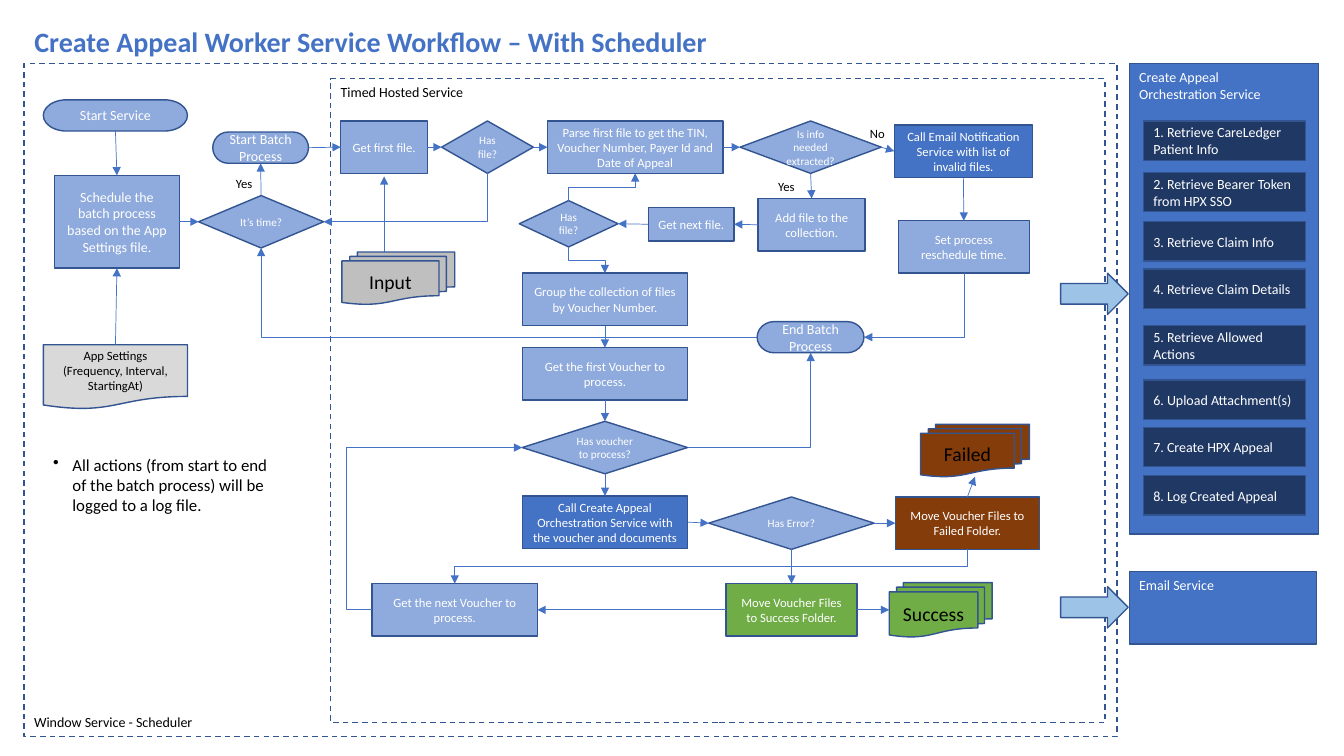
from dataclasses import dataclass

from lxml import etree
from pptx import Presentation
from pptx.dml.color import RGBColor
from pptx.enum.dml import MSO_LINE_DASH_STYLE as DASH
from pptx.enum.shapes import MSO_CONNECTOR as CXN, MSO_SHAPE as SHAPE
from pptx.enum.text import MSO_ANCHOR as ANCHOR, PP_ALIGN as ALIGN
from pptx.oxml.ns import qn
from pptx.util import Inches, Pt


@dataclass(frozen=True)
class Theme:
    font: str = "Calibri"
    accent: str = "4472C4"
    outline: str = "325491"
    step: str = "8FAADC"
    navy: str = "203864"
    arrow: str = "9DC3E6"
    failed: str = "843C0B"
    success: str = "70AD47"
    paper: str = "D9D9D9"
    stack: str = "BFBFBF"
    white: str = "FFFFFF"
    black: str = "000000"
    title: int = 20
    folder: int = 14
    note: int = 12
    body: int = 10
    small: int = 9
    tiny: int = 8


T = Theme()

# Kind of node: preset, fill, type size, text colour
KINDS = {
    "process": (SHAPE.RECTANGLE, T.step, T.small, T.white),
    "schedule": (SHAPE.RECTANGLE, T.step, T.body, T.white),
    "call": (SHAPE.RECTANGLE, T.accent, T.small, T.white),
    "to_failed": (SHAPE.RECTANGLE, T.failed, T.small, T.white),
    "to_success": (SHAPE.RECTANGLE, T.success, T.small, T.white),
    "decision": (SHAPE.FLOWCHART_DECISION, T.step, T.tiny, T.white),
    "terminator": (SHAPE.FLOWCHART_TERMINATOR, T.step, T.body, T.white),
    "document": (SHAPE.FLOWCHART_DOCUMENT, T.paper, T.small, T.black),
    "input": (SHAPE.FLOWCHART_MULTIDOCUMENT, T.stack, T.folder, T.black),
    "failed": (SHAPE.FLOWCHART_MULTIDOCUMENT, T.failed, T.folder, T.black),
    "success": (SHAPE.FLOWCHART_MULTIDOCUMENT, T.success, T.folder, T.black),
}

# Name: kind, (left, top, width, height), text
NODES = {
    "start": ("terminator", (0.43, 0.99, 1.43, 0.31), "Start Service"),
    "schedule": ("schedule", (0.54, 1.74, 1.24, 0.92),
                 "Schedule the batch process based on the App Settings file."),
    "settings": ("document", (0.43, 3.42, 1.43, 0.64),
                 "App Settings\n(Frequency, Interval, StartingAt)"),
    "time": ("decision", (1.97, 1.94, 1.24, 0.52), "It’s time?"),
    "batch": ("terminator", (2.11, 1.31, 0.95, 0.31), "Start Batch Process"),
    "first": ("process", (3.38, 1.2, 0.86, 0.52), "Get first file."),
    "any_file": ("decision", (4.38, 1.2, 0.91, 0.52), "Has file?"),
    "parse": ("process", (5.43, 1.2, 1.74, 0.52),
              "Parse first file to get the TIN, Voucher Number, Payer Id and Date of Appeal"),
    "info": ("decision", (7.34, 1.2, 1.4, 0.52), "Is info needed extracted?"),
    "notify": ("call", (8.87, 1.24, 1.37, 0.52),
               "Call Email Notification Service with list of invalid files."),
    "reschedule": ("process", (8.91, 2.19, 1.3, 0.52), "Set process reschedule time."),
    "add": ("process", (7.52, 1.97, 1.06, 0.52), "Add file to the collection."),
    "next": ("process", (6.43, 2.06, 0.85, 0.33), "Get next file."),
    "more": ("decision", (5.15, 1.99, 0.98, 0.46), "Has file?"),
    "group": ("process", (5.18, 2.71, 1.64, 0.52),
              "Group the collection of files by Voucher Number."),
    "voucher": ("process", (5.18, 3.45, 1.64, 0.52), "Get the first Voucher to process."),
    "any_voucher": ("decision", (5.18, 4.18, 1.64, 0.52), "Has voucher to process?"),
    "appeal": ("call", (5.18, 4.92, 1.64, 0.52),
               "Call Create Appeal Orchestration Service with the voucher and documents"),
    "error": ("decision", (7.03, 4.93, 1.64, 0.52), "Has Error?"),
    "move_failed": ("to_failed", (8.88, 4.93, 1.43, 0.52), "Move Voucher Files to Failed Folder."),
    "move_success": ("to_success", (7.2, 5.79, 1.3, 0.52), "Move Voucher Files to Success Folder."),
    "next_voucher": ("process", (3.69, 5.79, 1.64, 0.52), "Get the next Voucher to process."),
    "end": ("terminator", (7.51, 3.19, 1.06, 0.31), "End Batch Process"),
    "input": ("input", (3.39, 2.5, 1.12, 0.52), "Input"),
    "failed": ("failed", (9.13, 4.21, 1.08, 0.52), "Failed"),
    "success": ("success", (8.82, 5.78, 1.02, 0.54), "Success"),
}

# Connection sites in the order the presets number them
TOP, LEFT, BOTTOM, RIGHT = range(4)

STRAIGHT = [
    ("start", BOTTOM, "schedule", TOP), ("settings", TOP, "schedule", BOTTOM),
    ("schedule", RIGHT, "time", LEFT), ("time", TOP, "batch", BOTTOM),
    ("batch", RIGHT, "first", LEFT), ("first", RIGHT, "any_file", LEFT),
    ("any_file", RIGHT, "parse", LEFT), ("parse", RIGHT, "info", LEFT),
    ("info", RIGHT, "notify", LEFT), ("info", BOTTOM, "add", TOP),
    ("notify", BOTTOM, "reschedule", TOP), ("add", LEFT, "next", RIGHT),
    ("next", LEFT, "more", RIGHT), ("group", BOTTOM, "voucher", TOP),
    ("voucher", BOTTOM, "any_voucher", TOP), ("any_voucher", BOTTOM, "appeal", TOP),
    ("appeal", RIGHT, "error", LEFT), ("error", RIGHT, "move_failed", LEFT),
    ("error", BOTTOM, "move_success", TOP), ("move_success", LEFT, "next_voucher", RIGHT),
    ("move_success", RIGHT, "success", LEFT), ("move_failed", TOP, "failed", BOTTOM),
]

# Elbows: the last value places the middle leg, None means a single corner
ELBOWS = [
    ("any_file", BOTTOM, "time", RIGHT, None), ("reschedule", BOTTOM, "end", RIGHT, None),
    ("end", LEFT, "time", BOTTOM, None), ("any_voucher", RIGHT, "end", BOTTOM, None),
    ("more", TOP, "parse", BOTTOM, 0.5), ("more", BOTTOM, "group", TOP, 0.5),
    ("move_failed", BOTTOM, "next_voucher", TOP, 0.5),
    ("next_voucher", LEFT, "any_voucher", LEFT, -0.17),
]

STEPS = {
    1.2: "1. Retrieve CareLedger Patient Info",
    1.71: "2. Retrieve Bearer Token from HPX SSO",
    2.2: "3. Retrieve Claim Info",
    2.67: "4. Retrieve Claim Details",
    3.23: "5. Retrieve Allowed Actions",
    3.77: "6. Upload Attachment(s)",
    4.24: "7. Create HPX Appeal",
    4.72: "8. Log Created Appeal",
}


def rgb(value):
    return RGBColor.from_string(value)


def write(sp, text, size, color, align=ALIGN.LEFT, anchor=ANCHOR.TOP, wrap=True, bold=False):
    tf = sp.text_frame
    tf.text = text
    tf.word_wrap, tf.vertical_anchor = wrap, anchor
    for p in tf.paragraphs:
        p.alignment = align
        for r in p.runs:
            r.font.name, r.font.size, r.font.bold = T.font, Pt(size), bold
            r.font.color.rgb = rgb(color)


def add_box(slide, preset, at, fill=None, dash=None):
    sp = slide.shapes.add_shape(preset, *map(Inches, at))
    sp.shadow.inherit = False
    if fill:
        sp.fill.solid()
        sp.fill.fore_color.rgb = rgb(fill)
    else:
        sp.fill.background()
    sp.line.color.rgb, sp.line.width = rgb(T.outline), Pt(1)
    sp.line.dash_style = dash
    return sp


def add_label(slide, at, text, size, wrap=True):
    sp = slide.shapes.add_textbox(*map(Inches, at))
    write(sp, text, size, T.black, wrap=wrap)
    return sp


def add_node(slide, kind, at, text):
    preset, fill, size, color = KINDS[kind]
    sp = add_box(slide, preset, at, fill)
    write(sp, text, size, color, ALIGN.CENTER, ANCHOR.MIDDLE)
    return sp


def add_arrow(slide, kind, ends=(0, 0, 0, 0)):
    cxn = slide.shapes.add_connector(kind, *map(Inches, ends))
    cxn.line.color.rgb, cxn.line.width = rgb(T.accent), Pt(0.5)
    etree.SubElement(cxn.line._get_or_add_ln(), qn("a:tailEnd"), type="triangle")
    etree.SubElement(cxn._element.spPr, qn("a:effectLst"))
    return cxn


def link(nodes, slide, src, out, dst, into, kind=CXN.STRAIGHT):
    cxn = add_arrow(slide, kind)
    cxn.begin_connect(nodes[src], out)
    cxn.end_connect(nodes[dst], into)
    return cxn


def bend(cxn, out, middle):
    """Shape an elbow; one that leaves vertically is a quarter turn of the preset."""
    spPr = cxn._element.spPr
    geom = spPr.find(qn("a:prstGeom"))
    geom.set("prst", "bentConnector2" if middle is None else "bentConnector3")
    if middle is not None:
        etree.SubElement(geom.find(qn("a:avLst")), qn("a:gd"), name="adj1",
                         fmla=f"val {round(middle * 100000)}")
    if out in (TOP, BOTTOM):
        rightward, upward = cxn.end_x > cxn.begin_x, cxn.end_y < cxn.begin_y
        w, h = cxn.width, cxn.height
        cxn.left, cxn.top = cxn.left + (w - h) // 2, cxn.top + (h - w) // 2
        cxn.width, cxn.height = h, w
        xfrm = spPr.find(qn("a:xfrm"))
        xfrm.set("rot", str(90 * 60000))
        xfrm.set("flipH", str(int(upward)))
        xfrm.set("flipV", str(int(rightward)))


def main():
    prs = Presentation()
    prs.slide_width, prs.slide_height = Inches(13.33), Inches(7.5)
    slide = prs.slides.add_slide(prs.slide_layouts[5])

    # Title
    title = slide.shapes.title
    title.left, title.top, title.width, title.height = map(Inches, (0.24, 0.19, 6.94, 0.44))
    write(title, "Create Appeal Worker Service Workflow – With Scheduler",
          T.title, T.accent, wrap=False, bold=True)

    # Service frames and panels
    add_box(slide, SHAPE.RECTANGLE, (0.24, 0.63, 10.84, 6.68), dash=DASH.DASH)
    add_label(slide, (0.24, 7.03, 1.79, 0.27), "Window Service - Scheduler", T.body, wrap=False)
    timed = add_box(slide, SHAPE.RECTANGLE, (3.28, 0.78, 7.68, 6.39), dash=DASH.DASH)
    write(timed, "Timed Hosted Service", T.body, T.black)
    for at, text in [((11.2, 0.63, 1.88, 4.67), "Create Appeal\nOrchestration Service"),
                     ((11.2, 5.67, 1.86, 0.72), "Email Service")]:
        write(add_box(slide, SHAPE.RECTANGLE, at, T.accent), text, T.body, T.white)
    for top in (2.71, 5.82):
        add_box(slide, SHAPE.RIGHT_ARROW, (10.52, top, 0.67, 0.41), T.arrow)

    # Orchestration steps
    for top, text in STEPS.items():
        sp = add_box(slide, SHAPE.RECTANGLE, (11.34, top, 1.61, 0.39), T.navy)
        write(sp, text, T.body, T.white, anchor=ANCHOR.MIDDLE)

    # Flowchart
    nodes = {name: add_node(slide, *node) for name, node in NODES.items()}
    for ends in STRAIGHT:
        link(nodes, slide, *ends)
    for *ends, middle in ELBOWS:
        bend(link(nodes, slide, *ends, CXN.ELBOW), ends[1], middle)
    add_arrow(slide, CXN.STRAIGHT, (3.81, 2.51, 3.81, 1.75))

    # Branch labels
    for left, top, text in [(7.62, 1.73, "Yes"), (8.53, 1.2, "No"), (2.24, 1.7, "Yes")]:
        add_label(slide, (left, top, 0.38, 0.25), text, T.small)

    # Logging note
    note = add_label(slide, (0.43, 4.46, 2.36, 0.71), "All actions (from start to end of the "
                     "batch process) will be logged to a log file.", T.note)
    pPr = note.text_frame.paragraphs[0]._p.get_or_add_pPr()
    pPr.set("marL", str(Inches(0.19)))
    pPr.set("indent", str(-Inches(0.19)))
    etree.SubElement(pPr, qn("a:buChar"), char="•")

    prs.save("out.pptx")


if __name__ == "__main__":
    main()
